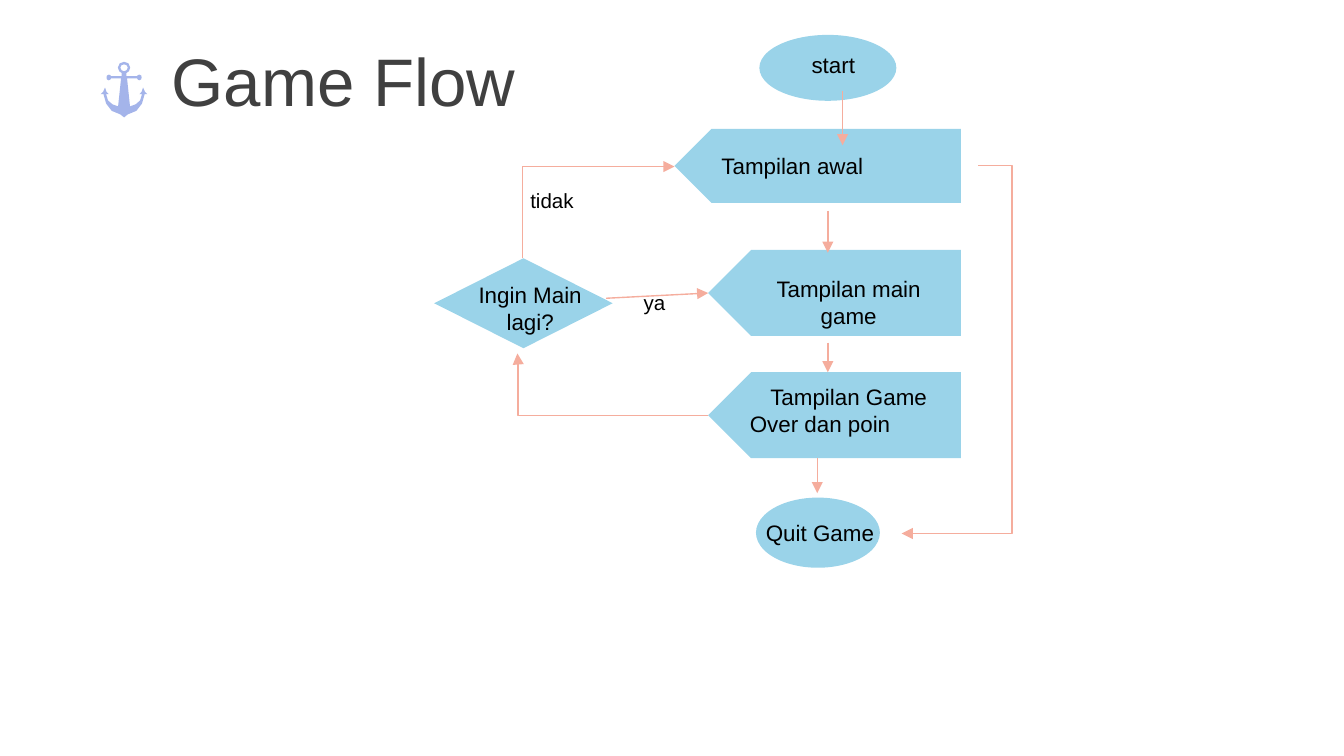
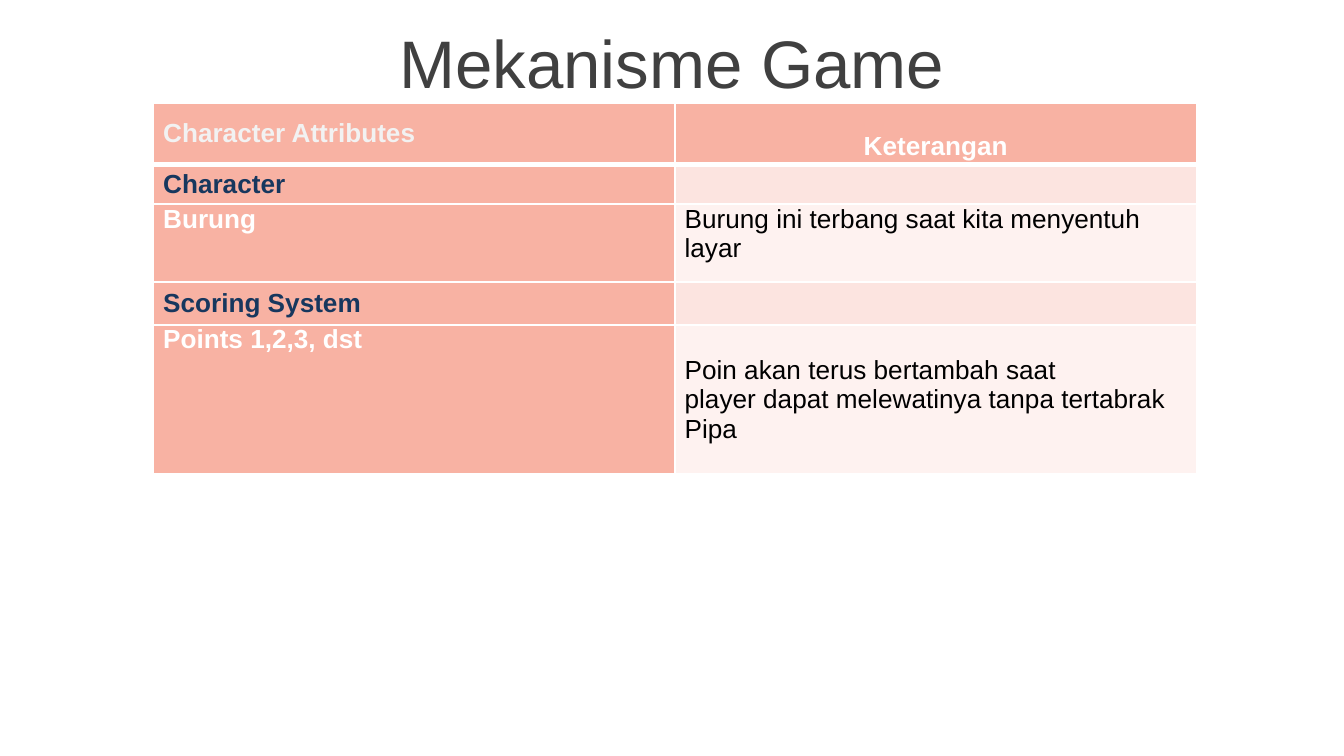
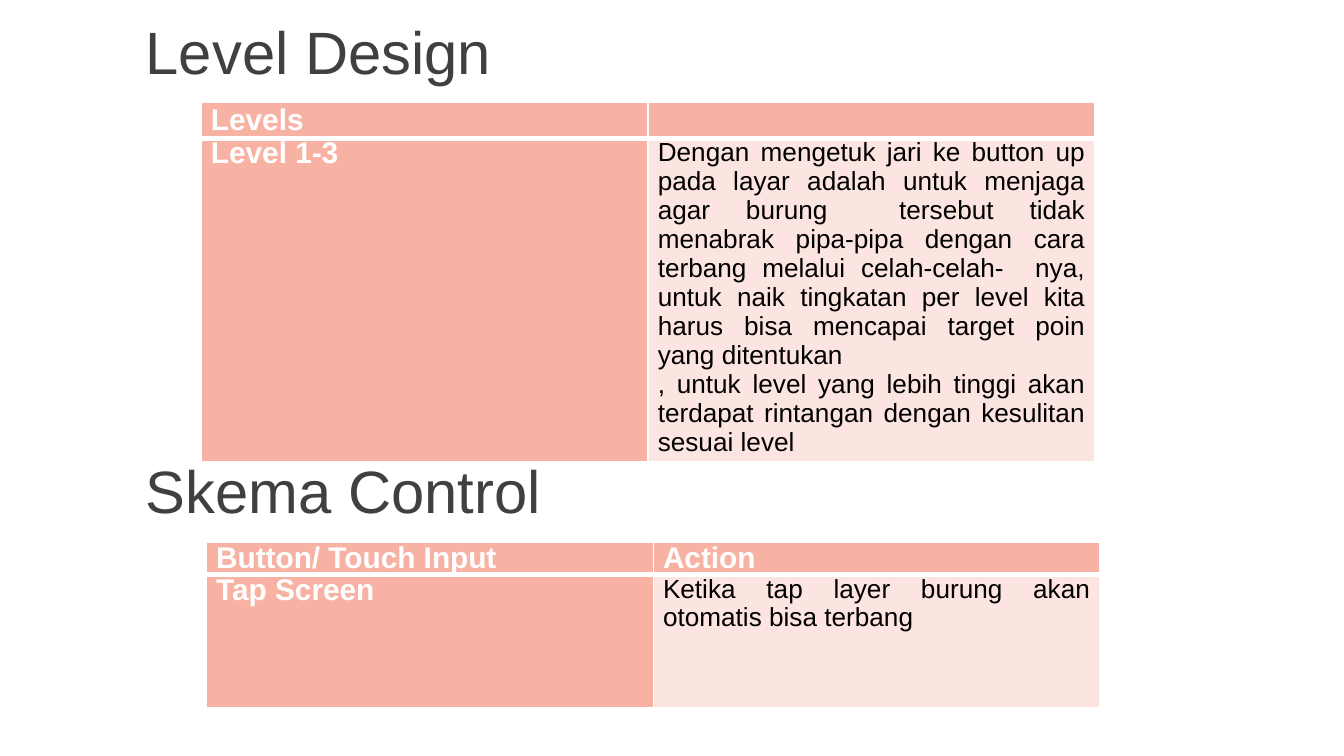
from dataclasses import dataclass

from lxml import etree
from pptx import Presentation
from pptx.dml.color import RGBColor
from pptx.enum.shapes import MSO_CONNECTOR, MSO_SHAPE
from pptx.enum.text import MSO_ANCHOR, PP_ALIGN
from pptx.oxml.ns import qn
from pptx.slide import Slide
from pptx.text.text import TextFrame
from pptx.util import Pt

OVAL, PLATE, GEM = MSO_SHAPE.OVAL, MSO_SHAPE.PENTAGON, MSO_SHAPE.DIAMOND
STRAIGHT, ELBOW = MSO_CONNECTOR.STRAIGHT, MSO_CONNECTOR.ELBOW
TOP, MID, LOW = MSO_ANCHOR.TOP, MSO_ANCHOR.MIDDLE, MSO_ANCHOR.BOTTOM
ALIGN = {"l": PP_ALIGN.LEFT, "c": PP_ALIGN.CENTER, "j": PP_ALIGN.JUSTIFY}

FONT = "Arial"
BLACK, WHITE, GRAY, PALE, NAVY = "000000", "FFFFFF", "404040", "F2F2F2", "17375E"
SKY, LILAC, CORAL = "9AD3E9", "A4B4EA", "F5AD9D"
ROSE, BLUSH, MILK = "F8B2A3", "FCE4E0", "FEF2F0"


@dataclass
class Node:
    kind: MSO_SHAPE
    x: float
    y: float
    w: float
    h: float


@dataclass
class Label:
    text: str
    x: float
    y: float
    w: float
    h: float
    align: str = "l"
    size: float = 12


@dataclass
class Arrow:
    x1: float
    y1: float
    x2: float
    y2: float
    bend: float | None = None
    turn: bool = False


@dataclass
class Cell:
    text: str
    fill: str
    color: str = WHITE
    size: float = 14
    bold: bool = True
    align: str = "l"
    anchor: MSO_ANCHOR = TOP
    pitch: float | None = None


@dataclass
class Grid:
    x: float
    y: float
    col: float
    rows: list[float]
    cells: list[list[Cell]]


NODES = [
    Node(OVAL, 406.8, 18.7, 73.4, 35.3),
    Node(PLATE, 361.4, 69.1, 153.4, 39.6),
    Node(PLATE, 379.4, 133.9, 135.4, 46.1),
    Node(PLATE, 379.4, 199.4, 135.4, 46.1),
    Node(OVAL, 405, 266.6, 66.4, 37.6),
    Node(GEM, 232.6, 138.4, 95.6, 48.2),
]
LABELS = [
    Label("start", 427.7, 23.8, 59, 21.6),
    Label("Tampilan awal", 379.4, 77.8, 144.7, 21.6),
    Label("Tampilan main game", 405.4, 144, 98.6, 36, "c"),
    Label("Tampilan Game\nOver dan poin", 394.6, 201.6, 120.2, 36, "cl"),
    Label("Quit Game", 403.2, 274.5, 79.2, 21.6),
    Label("Ingin Main lagi?", 248.4, 147, 71.3, 36, "c"),
    Label("ya", 337.7, 151.9, 31, 20.9, size=11),
    Label("tidak", 277, 97, 39.6, 20.9, size=11),
]
ARROWS = [
    Arrow(451.4, 49, 451.4, 77.8),
    Arrow(443.5, 113, 443.5, 135.4),
    Arrow(443.5, 183.6, 443.5, 199.4),
    Arrow(437.8, 245.5, 437.8, 264.2),
    Arrow(324.7, 159.8, 379.4, 157),
    Arrow(379.4, 222.5, 277.2, 189.4, bend=0.996),
    Arrow(280.1, 138.4, 361.4, 89.3, turn=True),
    Arrow(524.2, 88.6, 483.1, 285.8, bend=-0.438),
]

MAST = 66.5
RING = [(0, 34.5), (1.4, 34.9), (2, 36.2), (1.4, 37.6), (0, 38.2)]
HALF = [
    (0, 33.1), (2.3, 33.9), (3.3, 36.2), (2.6, 38.2), (1.3, 39.1), (1.3, 40.8),
    (7, 40.8), (7.4, 40.2), (8.2, 40), (9.2, 40.5), (9.4, 41.5), (9.2, 42.5),
    (8.2, 43), (7.4, 42.7), (7, 42), (1.6, 42), (3.2, 57), (6.2, 55.9),
    (8.6, 53.8), (9.6, 50.5), (8.2, 50.5), (9.4, 49.2), (10.2, 46.9),
    (11.2, 49.2), (12.5, 50.5), (11, 50.5), (9.6, 55.5), (6.6, 59.4),
    (2, 61.3), (0, 62.9),
]

MECHANICS = Grid(82.2, 55.4, 279.4, [32.7, 21.4, 41.8, 23, 79.8], [
    [Cell("Character Attributes", ROSE, PALE, anchor=MID),
     Cell("Keterangan", ROSE, align="c", anchor=LOW)],
    [Cell("Character", ROSE, NAVY, anchor=MID), Cell("", BLUSH)],
    [Cell("Burung", ROSE),
     Cell("Burung ini terbang saat kita menyentuh\nlayar", MILK, BLACK, bold=False)],
    [Cell("Scoring System", ROSE, NAVY, anchor=MID), Cell("", BLUSH)],
    [Cell("Points 1,2,3, dst", ROSE),
     Cell("Poin akan terus bertambah saat\n"
          "player dapat melewatinya tanpa tertabrak\nPipa",
          MILK, BLACK, bold=False, anchor=MID)],
])


def pair(x: float, y: float, rows: list[float], texts: list[str]) -> Grid:
    left, right, name, body = texts
    return Grid(x, y, 239.4, rows, [
        [Cell(text, ROSE, size=16, anchor=MID, pitch=17) for text in (left, right)],
        [Cell(name, ROSE, size=16, pitch=17),
         Cell(body, BLUSH, BLACK, bold=False, align="j", pitch=15.5)],
    ])


LEVELS = pair(107.8, 55, [17.2, 173], [
    "Levels", "", "Level 1-3",
    "Dengan mengetuk jari ke button up pada layar adalah untuk menjaga agar "
    "burung  tersebut tidak menabrak pipa-pipa dengan cara terbang melalui "
    "celah-celah-  nya, untuk naik tingkatan per level kita harus bisa mencapai "
    "target poin yang ditentukan\n"
    ", untuk level yang lebih tinggi akan terdapat rintangan dengan kesulitan "
    "sesuai level"])
CONTROLS = pair(110.6, 290.7, [17.2, 71.3], [
    "Button/ Touch Input", "Action", "Tap Screen",
    "Ketika tap layer burung akan otomatis bisa terbang"])


def rgb(code: str) -> RGBColor:
    return RGBColor.from_string(code)


def write(frame: TextFrame, text: str, size: float, color: str,
          align: str = "l", bold: bool = False, pitch: float | None = None) -> None:
    frame.text = text
    for i, para in enumerate(frame.paragraphs):
        para.alignment = ALIGN[align[min(i, len(align) - 1)]]
        if pitch:
            para.line_spacing = Pt(pitch)
        for run in para.runs:
            font = run.font
            font.name, font.size, font.bold = FONT, Pt(size), bold
            font.color.rgb = rgb(color)
        if not para.runs:
            end = etree.SubElement(para._p, qn("a:endParaRPr"))
            end.set("sz", str(size * 100))


def label(slide: Slide, item: Label, color: str = BLACK) -> TextFrame:
    box = slide.shapes.add_textbox(Pt(item.x), Pt(item.y), Pt(item.w), Pt(item.h))
    frame = box.text_frame
    frame.word_wrap = True
    write(frame, item.text, item.size, color, item.align)
    return frame


def title(slide: Slide, item: Label) -> None:
    frame = label(slide, item, GRAY)
    frame.vertical_anchor = MID
    frame.paragraphs[0].space_before = Pt(4)


def node(slide: Slide, item: Node) -> None:
    shape = slide.shapes.add_shape(
        item.kind, Pt(item.x), Pt(item.y), Pt(item.w), Pt(item.h))
    shape.shadow.inherit = False
    shape.fill.solid()
    shape.fill.fore_color.rgb = rgb(SKY)
    shape.line.fill.background()
    if item.kind == PLATE:
        shape._element.spPr.xfrm.set("flipH", "1")


def arrow(slide: Slide, item: Arrow) -> None:
    x1, y1, x2, y2 = item.x1, item.y1, item.x2, item.y2
    if item.turn:
        mx, my = (x1 + x2) / 2, (y1 + y2) / 2
        dx, dy = abs(y2 - y1) / 2, abs(x2 - x1) / 2
        x1, y1, x2, y2 = mx + dx, my + dy, mx - dx, my - dy
    kind = ELBOW if item.turn or item.bend is not None else STRAIGHT
    link = slide.shapes.add_connector(kind, Pt(x1), Pt(y1), Pt(x2), Pt(y2))
    link.line.color.rgb = rgb(CORAL)
    link.line.width = Pt(0.75)
    props = link._element.spPr
    geom = props.find(qn("a:prstGeom"))
    if item.turn:
        geom.set("prst", "bentConnector2")
        props.xfrm.set("rot", "5400000")
    if item.bend is not None:
        guide = etree.SubElement(geom.find(qn("a:avLst")), qn("a:gd"))
        guide.set("name", "adj1")
        guide.set("fmla", f"val {round(item.bend * 100000)}")
    etree.SubElement(link.line._get_or_add_ln(), qn("a:tailEnd")).set("type", "triangle")
    etree.SubElement(props, qn("a:effectLst"))


def anchor(slide: Slide) -> None:
    loops = []
    for half in (HALF, RING):
        side = half + [(-x, y) for x, y in half[-2:0:-1]]
        loops.append([(Pt(MAST + x), Pt(y)) for x, y in side])
    outer, inner = loops
    pen = slide.shapes.build_freeform(*outer[0])
    pen.add_line_segments(outer[1:])
    pen.move_to(*inner[0])
    pen.add_line_segments(inner[1:])
    shape = pen.convert_to_shape()
    shape.shadow.inherit = False
    shape.fill.solid()
    shape.fill.fore_color.rgb = rgb(LILAC)
    shape.line.fill.background()


def grid(slide: Slide, item: Grid) -> None:
    count = len(item.cells[0])
    table = slide.shapes.add_table(
        len(item.rows), count, Pt(item.x), Pt(item.y),
        Pt(item.col * count), Pt(sum(item.rows))).table
    for col in table.columns:
        col.width = Pt(item.col)
    for i, (high, line) in enumerate(zip(item.rows, item.cells)):
        table.rows[i].height = Pt(high)
        for j, data in enumerate(line):
            cell = table.cell(i, j)
            cell.margin_left = cell.margin_right = Pt(5.2)
            cell.margin_top = 0
            cell.margin_bottom = Pt(2 if data.anchor == LOW else 0)
            cell.vertical_anchor = data.anchor
            write(cell.text_frame, data.text, data.size, data.color,
                  data.align, data.bold, data.pitch)
            props = cell._tc.get_or_add_tcPr()
            for side in "LRTB":
                thick = (i, side) in ((0, "B"), (1, "T"))
                edge = etree.SubElement(props, qn(f"a:ln{side}"))
                edge.set("w", str(Pt(3 if thick else 1)))
                fill = etree.SubElement(edge, qn("a:solidFill"))
                etree.SubElement(fill, qn("a:srgbClr")).set("val", WHITE)
            cell.fill.solid()
            cell.fill.fore_color.rgb = rgb(data.fill)


def main() -> None:
    deck = Presentation()
    deck.slide_width, deck.slide_height = Pt(720), Pt(405)
    blank = deck.slide_layouts[6]
    flow, rules, plan = (deck.slides.add_slide(blank) for _ in range(3))

    title(flow, Label("Game Flow", 6.5, 20.2, 355, 45.4, "c", 36))
    for item in NODES:
        node(flow, item)
    for item in LABELS:
        label(flow, item)
    for item in ARROWS:
        arrow(flow, item)
    anchor(flow)

    title(rules, Label("Mekanisme Game", 0, 10.1, 720, 45.4, "c", 36))
    grid(rules, MECHANICS)

    title(plan, Label("Level Design", 71, 4.3, 649, 45.4, size=32))
    grid(plan, LEVELS)
    title(plan, Label("Skema Control", 71, 239.8, 649, 45.4, size=32))
    grid(plan, CONTROLS)

    deck.save("out.pptx")


if __name__ == "__main__":
    main()
